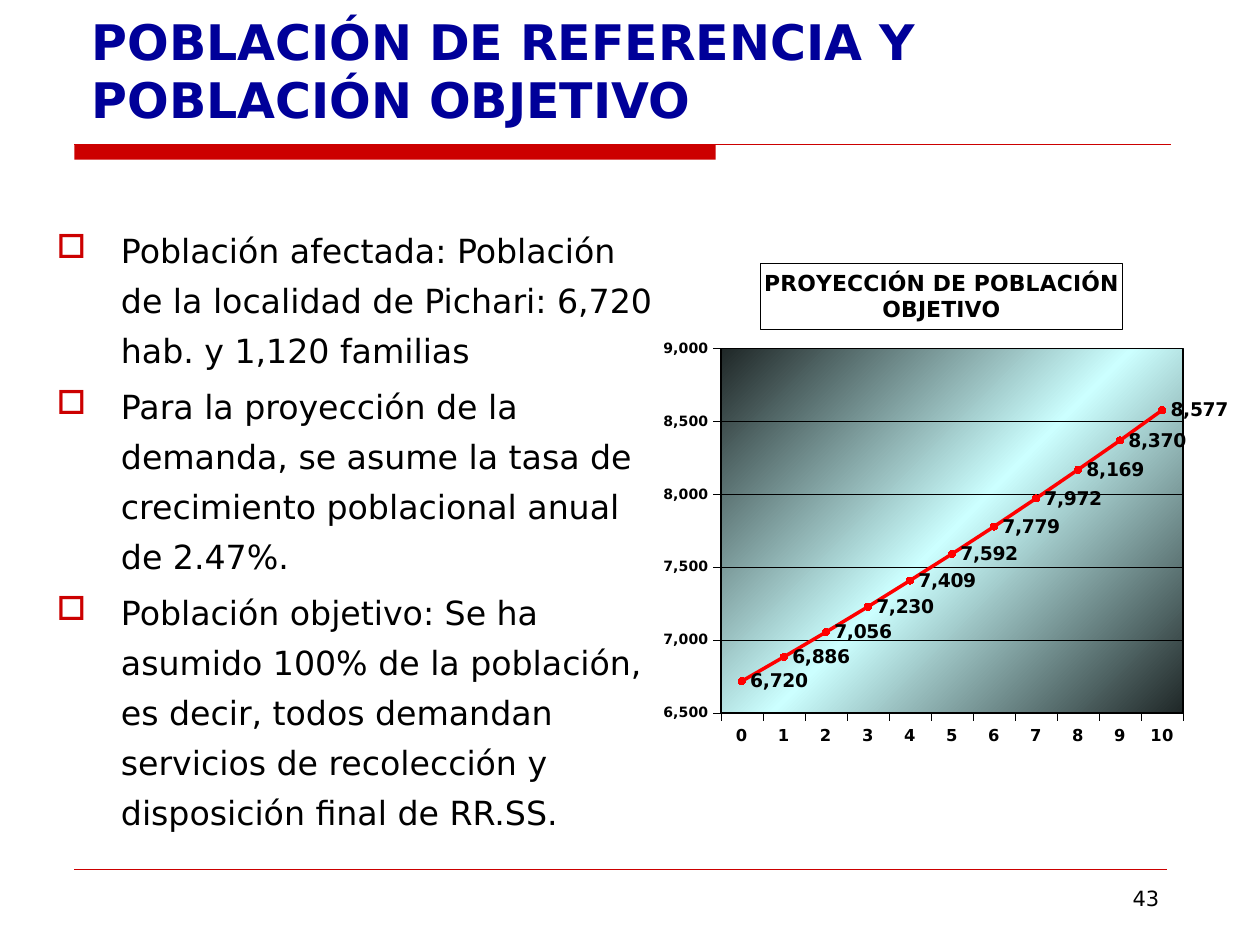
from dataclasses import dataclass
from typing import Optional

from lxml.etree import SubElement
from pptx import Presentation
from pptx.chart.data import CategoryChartData
from pptx.dml.color import RGBColor
from pptx.enum.chart import XL_CHART_TYPE, XL_LABEL_POSITION, XL_MARKER_STYLE, XL_TICK_MARK
from pptx.enum.shapes import MSO_CONNECTOR, MSO_SHAPE
from pptx.enum.text import MSO_ANCHOR, PP_ALIGN
from pptx.oxml import parse_xml
from pptx.oxml.ns import nsdecls, qn
from pptx.util import Cm, Pt


@dataclass(frozen=True)
class Theme:
    font: str = "DejaVu Sans"
    black: str = "000000"
    title: str = "000099"
    accent: str = "CC0000"
    series: str = "FF0000"
    plot_edge: str = "1F2727"
    plot_middle: str = "CCFFFF"
    title_size: float = 28
    body_size: float = 19
    number_size: float = 12
    chart_title_size: float = 12.6
    label_size: float = 10.8
    category_size: float = 9.4
    value_size: float = 8.1
    hairline: float = 0.17


@dataclass(frozen=True)
class Box:
    left: float
    top: float
    width: float
    height: float

    def lengths(self):
        return Cm(self.left), Cm(self.top), Cm(self.width), Cm(self.height)


@dataclass(frozen=True)
class Rule:
    left: float
    right: float
    y: float
    weight: float


THEME = Theme()
BAR = Box(1.5, 2.92, 12.93, 0.3)
RULES = [Rule(1.5, 23.6, 2.92, 0.75), Rule(1.5, 23.52, 17.53, 0.25)]
BULLETS = [
    "Población afectada: Población de la localidad de Pichari: 6,720 hab. y 1,120 familias",
    "Para la proyección de la demanda, se asume la tasa de crecimiento poblacional anual de 2.47%.",
    "Población objetivo: Se ha asumido 100% de la población, es decir, todos demandan "
    "servicios de recolección y disposición final de RR.SS.",
]
POPULATION = [6720, 6886, 7056, 7230, 7409, 7592, 7779, 7972, 8169, 8370, 8577]
NUMBER_FORMAT = "#,##0"


def style_font(font, size: float, color: str = THEME.black, bold: bool = False) -> None:
    font.name = THEME.font
    font.size = Pt(size)
    font.bold = bold
    font.color.rgb = RGBColor.from_string(color)


def style_line(line, color: str, weight: float) -> None:
    line.color.rgb = RGBColor.from_string(color)
    line.width = Pt(weight)


def style_fill(fill, color: str) -> None:
    fill.solid()
    fill.fore_color.rgb = RGBColor.from_string(color)


def add_rule(slide, rule: Rule) -> None:
    connector = slide.shapes.add_connector(
        MSO_CONNECTOR.STRAIGHT, Cm(rule.left), Cm(rule.y), Cm(rule.right), Cm(rule.y))
    style_line(connector.line, THEME.accent, rule.weight)
    SubElement(connector.element.spPr, qn("a:effectLst"))


def add_bar(slide, box: Box) -> None:
    shape = slide.shapes.add_shape(MSO_SHAPE.RECTANGLE, *box.lengths())
    shape.shadow.inherit = False
    style_fill(shape.fill, THEME.accent)
    shape.line.fill.background()


def add_text(slide, box: Box, text: str, size: float, color: str = THEME.black,
             bold: bool = False, anchor=MSO_ANCHOR.TOP, alignment=PP_ALIGN.LEFT):
    text_frame = slide.shapes.add_textbox(*box.lengths()).text_frame
    text_frame.word_wrap = True
    text_frame.vertical_anchor = anchor
    text_frame.text = text
    for paragraph in text_frame.paragraphs:
        paragraph.alignment = alignment
        for run in paragraph.runs:
            style_font(run.font, size, color, bold)
    return text_frame


def add_bullet(paragraph) -> None:
    paragraph.line_spacing = 1.25
    paragraph.space_before = Pt(3.8)
    properties = paragraph._p.get_or_add_pPr()
    properties.set("marL", str(Cm(1.3)))
    properties.set("indent", str(-Cm(1.3)))
    color = SubElement(properties, qn("a:buClr"))
    SubElement(color, qn("a:srgbClr"), val=THEME.accent)
    SubElement(properties, qn("a:buChar"), char="□")


def set_layout(element, index: int, x: float, y: float,
               width: Optional[float] = None, height: Optional[float] = None) -> None:
    for existing in element.findall(qn("c:layout")):
        element.remove(existing)
    layout = parse_xml(f"<c:layout {nsdecls('c')}><c:manualLayout/></c:layout>")
    manual = layout[0]
    if width is not None:
        SubElement(manual, qn("c:layoutTarget"), val="inner")
    for name in ("xMode", "yMode"):
        SubElement(manual, qn(f"c:{name}"), val="edge")
    for name, value in (("x", x), ("y", y), ("w", width), ("h", height)):
        if value is not None:
            SubElement(manual, qn(f"c:{name}"), val=str(value))
    element.insert(index, layout)


def paint_plot_area(plot_area) -> None:
    stops = [(0, THEME.plot_edge), (50, THEME.plot_middle), (100, THEME.plot_edge)]
    gradient = "".join(
        f'<a:gs pos="{position * 1000}"><a:srgbClr val="{color}"/></a:gs>'
        for position, color in stops)
    plot_area.append(parse_xml(
        f"<c:spPr {nsdecls('c', 'a')}><a:gradFill><a:gsLst>{gradient}</a:gsLst>"
        f'<a:lin ang="2700000" scaled="0"/></a:gradFill><a:ln w="{Pt(1)}"><a:solidFill>'
        f'<a:srgbClr val="{THEME.black}"/></a:solidFill></a:ln></c:spPr>'))


def style_axis(axis, size: float) -> None:
    axis.major_tick_mark = XL_TICK_MARK.OUTSIDE
    axis.minor_tick_mark = XL_TICK_MARK.NONE
    style_font(axis.tick_labels.font, size, bold=True)
    style_line(axis.format.line, THEME.black, THEME.hairline)


def style_series(series) -> None:
    series.smooth = False
    style_line(series.format.line, THEME.series, 2)
    series.marker.style = XL_MARKER_STYLE.CIRCLE
    series.marker.size = 4
    style_fill(series.marker.format.fill, THEME.series)
    style_line(series.marker.format.line, THEME.series, 0.75)
    labels = series.data_labels
    labels.show_value = True
    labels.number_format = NUMBER_FORMAT
    labels.number_format_is_linked = False
    labels.position = XL_LABEL_POSITION.RIGHT
    style_font(labels.font, THEME.label_size, bold=True)


def add_population_chart(slide, box: Box) -> None:
    data = CategoryChartData(number_format=NUMBER_FORMAT)
    data.categories = [str(year) for year in range(len(POPULATION))]
    data.add_series("Series 1", POPULATION)
    chart = slide.shapes.add_chart(XL_CHART_TYPE.LINE_MARKERS, *box.lengths(), data).chart
    style_font(chart.font, THEME.chart_title_size, bold=True)
    chart.has_legend = False
    chart.plots[0].vary_by_categories = False

    title = chart.chart_title
    title.text_frame.text = "PROYECCIÓN DE POBLACIÓN OBJETIVO"
    style_font(title.text_frame.paragraphs[0].runs[0].font, THEME.chart_title_size, bold=True)
    style_line(title.format.line, THEME.black, THEME.hairline)
    set_layout(chart.element.find(f".//{qn('c:title')}"), 1, 0.18, 0)

    style_axis(chart.category_axis, THEME.category_size)
    value_axis = chart.value_axis
    style_axis(value_axis, THEME.value_size)
    value_axis.minimum_scale, value_axis.maximum_scale = 6500, 9000
    value_axis.major_unit = 500
    value_axis.tick_labels.number_format = NUMBER_FORMAT
    value_axis.tick_labels.number_format_is_linked = False
    style_line(value_axis.major_gridlines.format.line, THEME.black, THEME.hairline)
    style_series(chart.plots[0].series[0])

    plot_area = chart.element.find(f".//{qn('c:plotArea')}")
    set_layout(plot_area, 0, 0.11, 0.17, 0.82, 0.73)
    paint_plot_area(plot_area)


def main() -> None:
    presentation = Presentation()
    presentation.slide_width, presentation.slide_height = Cm(25.4), Cm(19.05)
    slide = presentation.slides.add_slide(presentation.slide_layouts[6])
    add_bar(slide, BAR)
    for rule in RULES:
        add_rule(slide, rule)
    add_text(slide, Box(18.11, 17.73, 5.51, 1.32), "43", THEME.number_size,
             alignment=PP_ALIGN.RIGHT)
    add_text(slide, Box(1.6, 0.84, 22.23, 1.88), "POBLACIÓN DE REFERENCIA Y POBLACIÓN OBJETIVO",
             THEME.title_size, THEME.title, bold=True, anchor=MSO_ANCHOR.BOTTOM)
    body = add_text(slide, Box(0.89, 4.32, 12.6, 12.4), "\n".join(BULLETS), THEME.body_size)
    for paragraph in body.paragraphs:
        add_bullet(paragraph)
    add_population_chart(slide, Box(13.28, 5.31, 11.48, 10.08))
    presentation.save("out.pptx")


if __name__ == "__main__":
    main()
